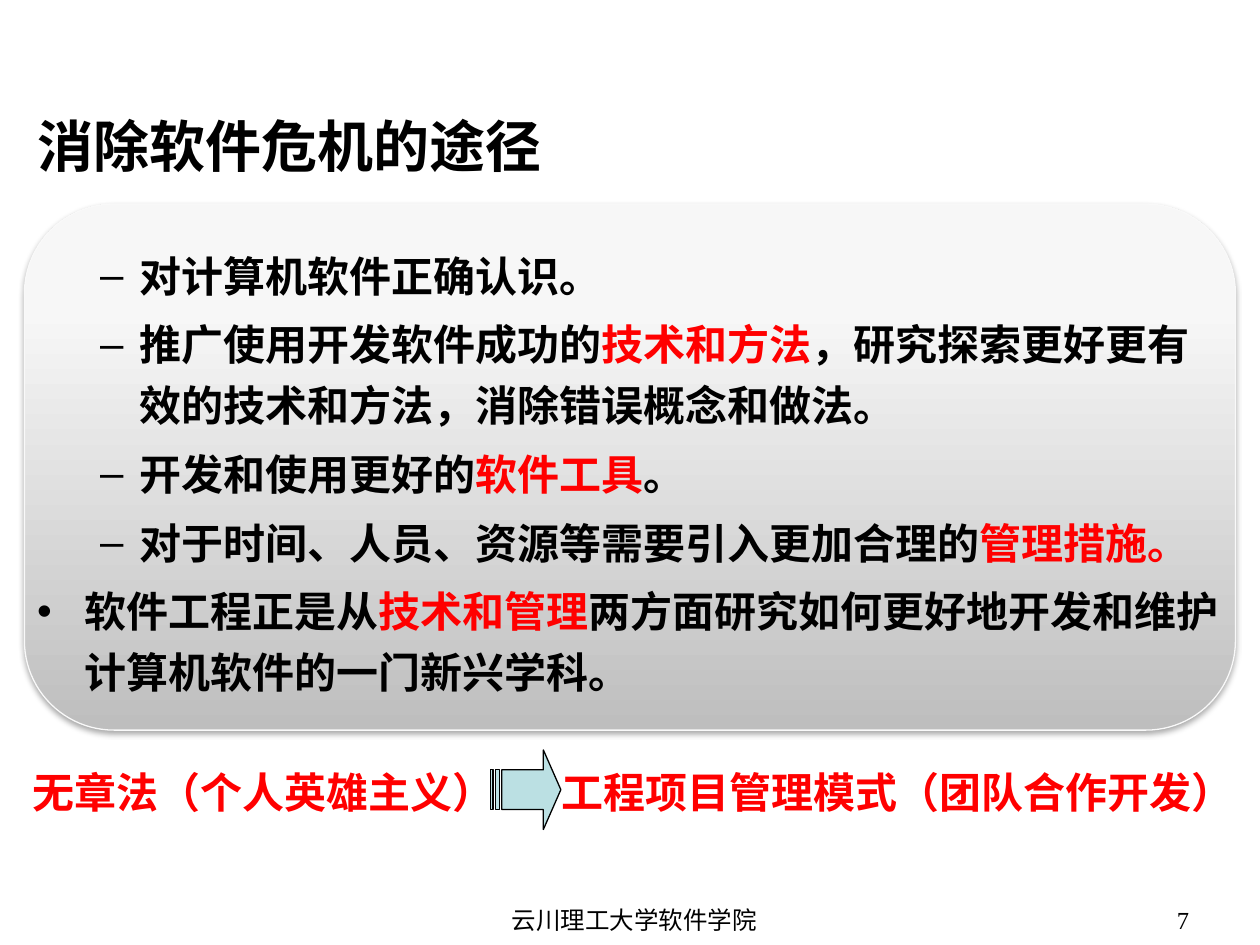
from lxml import etree
from pptx import Presentation
from pptx.dml.color import RGBColor
from pptx.enum import shapes, text
from pptx.oxml import parse_xml
from pptx.oxml.ns import nsdecls, qn
from pptx.util import Pt

BLACK = RGBColor(0x00, 0x00, 0x00)
RED = RGBColor(0xFF, 0x00, 0x00)
TEAL = RGBColor(0xBB, 0xE0, 0xE3)
PALE = RGBColor(0xF9, 0xF9, 0xF9)
STOPS = [(0, "BEBEBE"), (80, "F7F7F7"), (100, "F8F8F8")]

SERIF = "Times New Roman"
SANS = "Noto Sans CJK SC"
KOREAN = "Noto Sans CJK KR"

# Each item: list level, then (wording, colour) pieces
ITEMS = [
    (1, [("对计算机软件正确认识。", BLACK)]),
    (1, [("推广使用开发软件成功的", BLACK), ("技术和方法", RED),
         ("，研究探索更好更有效的技术和方法，消除错误概念和做法。", BLACK)]),
    (1, [("开发和使用更好的", BLACK), ("软件工具", RED), ("。", BLACK)]),
    (1, [("对于时间、人员、资源等需要引入更加合理的", BLACK),
         ("管理措施。", RED)]),
    (0, [("软件工程正是从", BLACK), ("技术和管理", RED),
         ("两方面研究如何更好地开发和维护计算机软件的一门新兴学科。", BLACK)]),
]
INDENTS = {0: (27, -27), 1: (58.5, -22.5)}


def place(shape, left, top, width, height):
    shape.left, shape.top = Pt(left), Pt(top)
    shape.width, shape.height = Pt(width), Pt(height)


def style(run, size, color, bold=False, latin=SERIF, asian=SANS):
    font = run.font
    font.size, font.bold, font.name = Pt(size), bold, latin
    font.color.rgb = color
    east = etree.SubElement(run._r.get_or_add_rPr(), qn("a:ea"))
    east.set("typeface", asian)


def add_panel(slide, left, top, width, height):
    panel = slide.shapes.add_shape(
        shapes.MSO_SHAPE.ROUNDED_RECTANGLE,
        Pt(left), Pt(top), Pt(width), Pt(height))
    panel.adjustments[0] = 0.17
    panel.fill.gradient()
    panel.line.color.rgb = PALE
    panel.line.width = Pt(0.75)
    panel.shadow.inherit = False

    # Three-stop gradient running upwards
    props = panel.element.spPr
    stops = "".join(
        f'<a:gs pos="{pos * 1000}"><a:srgbClr val="{color}"/></a:gs>'
        for pos, color in STOPS)
    props.replace(props.find(qn("a:gradFill")), parse_xml(
        f'<a:gradFill {nsdecls("a")} rotWithShape="1">'
        f'<a:gsLst>{stops}</a:gsLst>'
        '<a:lin ang="16200000" scaled="0"/></a:gradFill>'))

    # Soft shadow below
    props.find(qn("a:effectLst")).append(parse_xml(
        f'<a:outerShdw {nsdecls("a")} blurRad="{Pt(3.1)}" dist="{Pt(1.8)}" '
        'dir="5400000" rotWithShape="0"><a:srgbClr val="000000">'
        '<a:alpha val="35000"/></a:srgbClr></a:outerShdw>'))

    # Behind the placeholders
    panel.element.getparent().insert(2, panel.element)


def fill_title(title, words):
    place(title, 14.4, 59, 696, 48)
    frame = title.text_frame
    frame.text = words
    frame.auto_size = text.MSO_AUTO_SIZE.NONE
    frame.vertical_anchor = text.MSO_ANCHOR.MIDDLE
    par = frame.paragraphs[0]
    par.alignment = text.PP_ALIGN.LEFT
    style(par.runs[0], 32, BLACK, bold=True)


def fill_list(body, items):
    place(body, 14, 133.5, 696, 275)
    frame = body.text_frame
    frame.auto_size = text.MSO_AUTO_SIZE.NONE
    for i, (level, parts) in enumerate(items):
        par = frame.add_paragraph() if i else frame.paragraphs[0]
        par.level = level
        par.line_spacing = 1.2
        par.space_before = Pt(4.8)
        margin, indent = INDENTS[level]
        props = par._p.get_or_add_pPr()
        props.set("marL", str(Pt(margin)))
        props.set("indent", str(Pt(indent)))
        for words, color in parts:
            run = par.add_run()
            run.text = words
            style(run, 24, color, bold=True)


def add_label(slide, words, left, top, width, height, size, color,
              align=text.PP_ALIGN.LEFT, **font):
    box = slide.shapes.add_textbox(Pt(left), Pt(top), Pt(width), Pt(height))
    frame = box.text_frame
    frame.text = words
    frame.word_wrap = True
    frame.margin_top = frame.margin_bottom = 0
    frame.vertical_anchor = text.MSO_ANCHOR.MIDDLE
    par = frame.paragraphs[0]
    par.alignment = align
    style(par.runs[0], size, color, **font)


def add_arrow(slide, left, top, width, height):
    arrow = slide.shapes.add_shape(
        shapes.MSO_SHAPE.STRIPED_RIGHT_ARROW,
        Pt(left), Pt(top), Pt(width), Pt(height))
    arrow.adjustments[0] = 0.5
    arrow.adjustments[1] = 0.25
    arrow.fill.solid()
    arrow.fill.fore_color.rgb = TEAL
    arrow.line.color.rgb = BLACK
    arrow.line.width = Pt(0.75)
    arrow.shadow.inherit = False


def main():
    deck = Presentation()
    deck.slide_width, deck.slide_height = Pt(720), Pt(540)
    slide = deck.slides.add_slide(deck.slide_layouts[1])

    # Heading and list on the panel
    add_panel(slide, 14, 116.6, 692, 300.6)
    fill_title(slide.shapes.title, "消除软件危机的途径")
    fill_list(slide.placeholders[1], ITEMS)

    # From one way of working to the other
    add_label(slide, "无章法（个人英雄主义）", 11.5, 434.5, 285, 36,
              24, RED, bold=True)
    add_label(slide, "工程项目管理模式（团队合作开发）", 314, 434.5, 404, 36,
              24, RED, bold=True)
    add_arrow(slide, 280.5, 428.5, 40, 45.5)

    # Footer
    add_label(slide, "云川理工大学软件学院", 248.4, 515.5, 228.2, 20, 14,
              BLACK, text.PP_ALIGN.CENTER, latin=KOREAN, asian=KOREAN)
    add_label(slide, "7", 518.4, 515.5, 168.2, 20, 14, BLACK,
              text.PP_ALIGN.RIGHT)

    deck.save("out.pptx")


if __name__ == "__main__":
    main()
